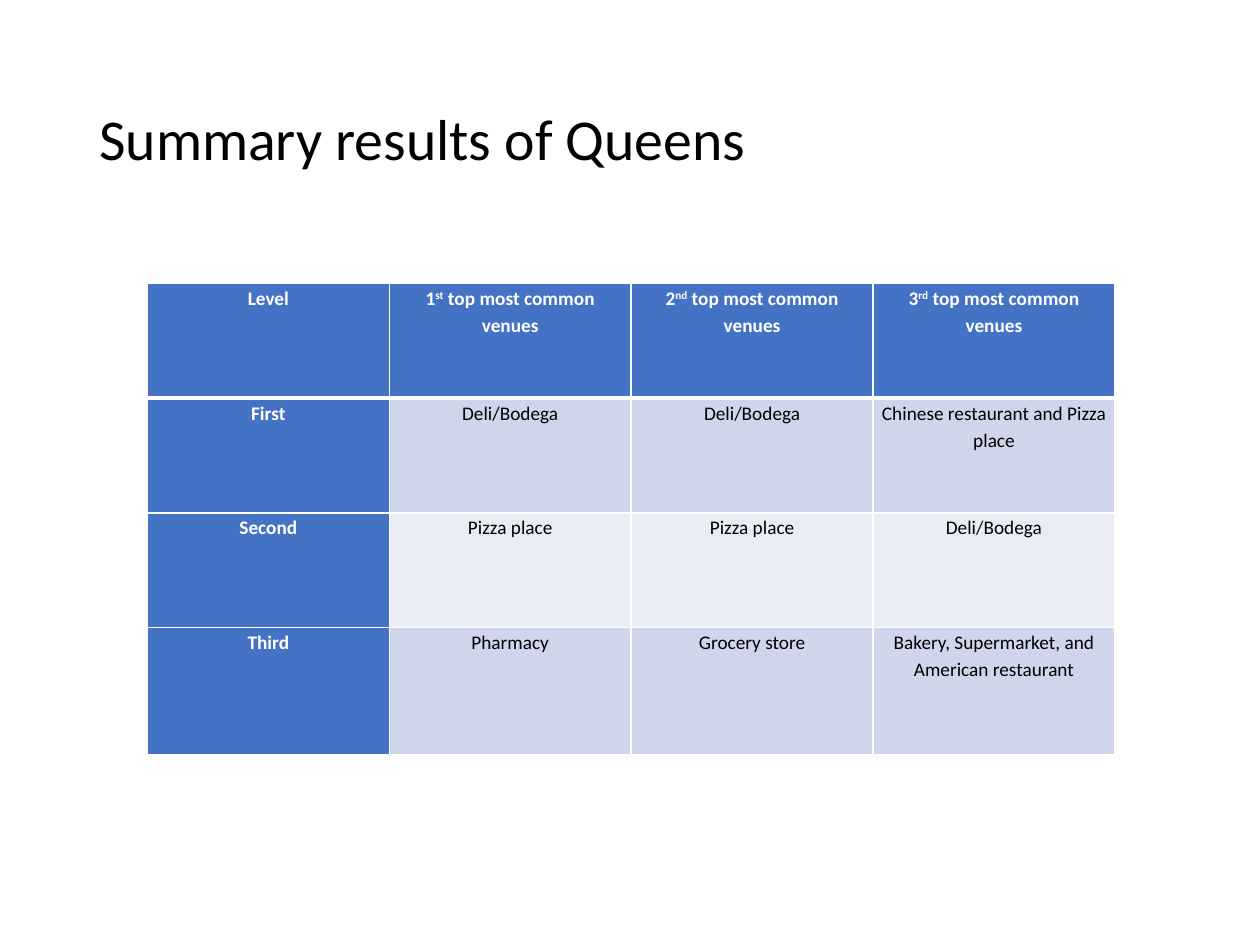
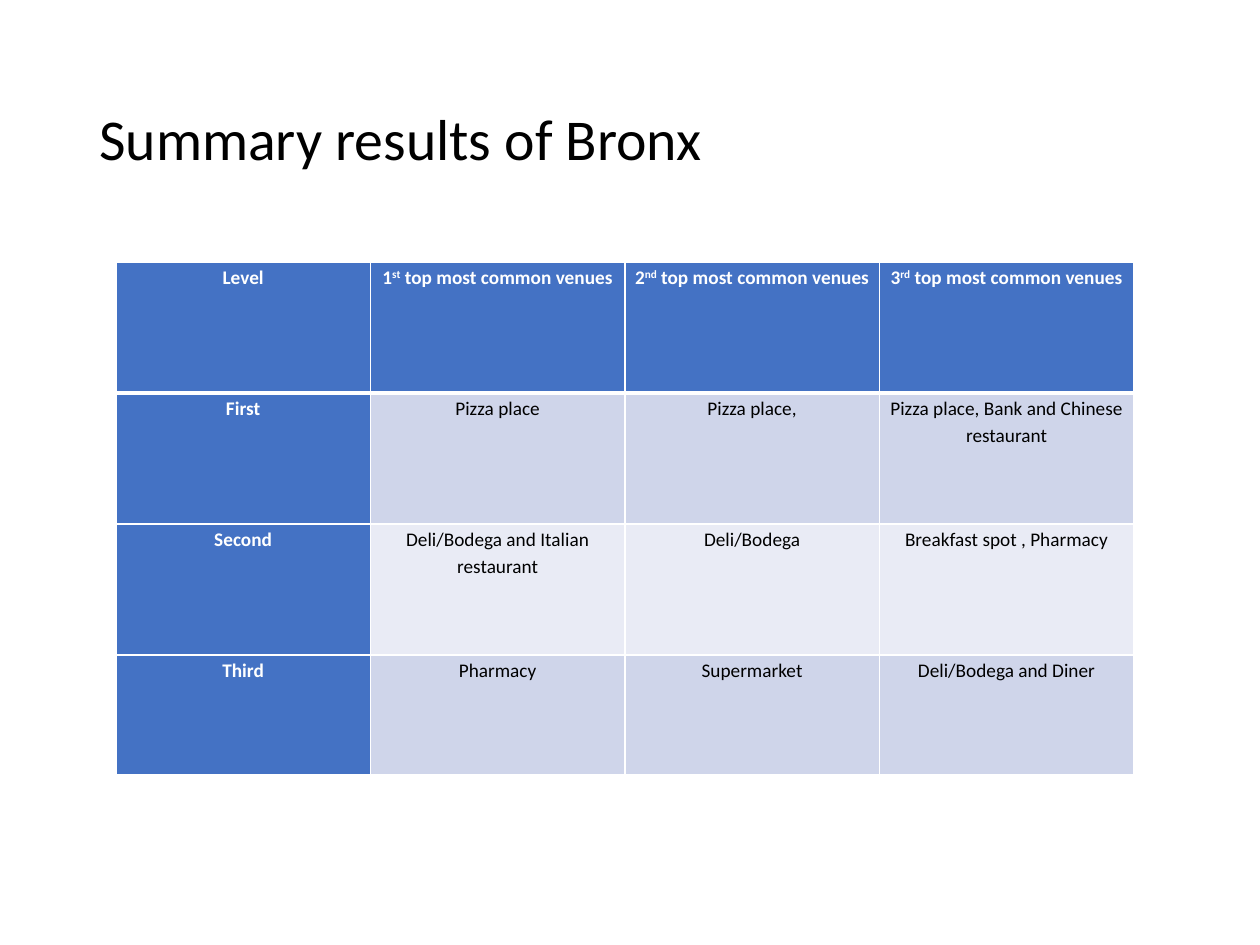
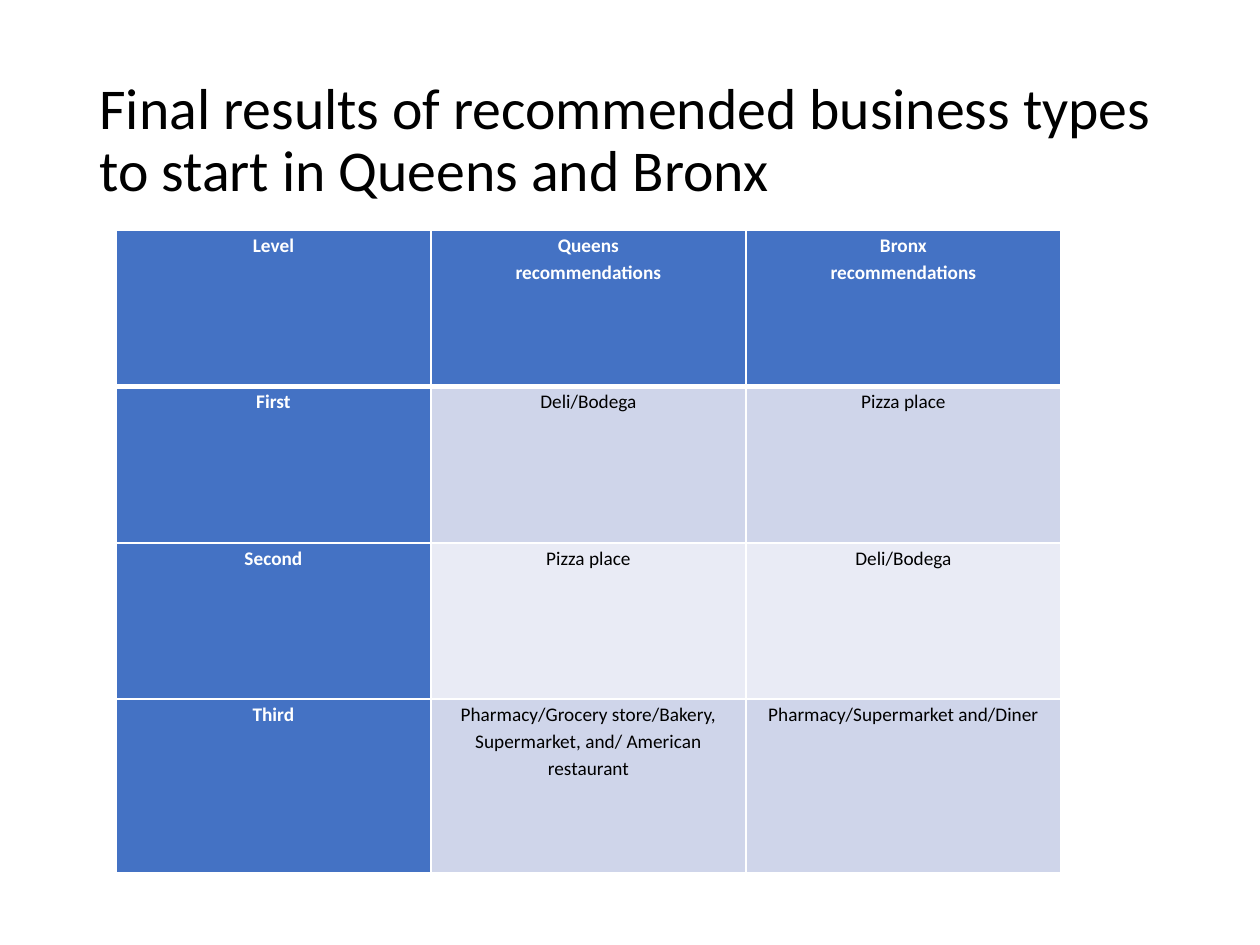
import pptx
import pptx.dml.color
import pptx.enum.text
import pptx.oxml
import pptx.oxml.ns
import pptx.util

Inches = pptx.util.Inches
Pt = pptx.util.Pt

FONT = "Calibri"
BLACK, WHITE = "000000", "FFFFFF"
ACCENT = "4472C4"
BANDS = ["CFD5EA", "E9EBF5"]
RANKED_HEADER = ["Level"] + [
    f"{number}^{suffix}^ top most common venues"
    for number, suffix in [(1, "st"), (2, "nd"), (3, "rd")]
]

SUMMARIES = [
    {
        "title": "Summary results of Queens",
        "left": 1.17, "top": 2.25, "column": 1.92, "row": 0.91, "last_row": 1.01,
        "levels": [
            RANKED_HEADER,
            ["First", "Deli/Bodega", "Deli/Bodega", "Chinese restaurant and Pizza place"],
            ["Second", "Pizza place", "Pizza place", "Deli/Bodega"],
            ["Third", "Pharmacy", "Grocery store",
             "Bakery, Supermarket, and American restaurant"],
        ],
    },
    {
        "title": "Summary results of Bronx",
        "left": 0.92, "top": 2.08, "column": 2.02, "row": 1.04, "last_row": 0.95,
        "levels": [
            RANKED_HEADER,
            ["First", "Pizza place", "Pizza place,", "Pizza place, Bank and Chinese restaurant"],
            ["Second", "Deli/Bodega and Italian restaurant", "Deli/Bodega",
             "Breakfast spot , Pharmacy"],
            ["Third", "Pharmacy", "Supermarket", "Deli/Bodega and Diner"],
        ],
    },
    {
        "title": "Final results of recommended business types to start in Queens and Bronx",
        "left": 0.92, "top": 1.83, "column": 2.5, "row": 1.24, "last_row": 1.38,
        "levels": [
            ["Level", "Queens\nrecommendations", "Bronx\nrecommendations"],
            ["First", "Deli/Bodega", "Pizza place"],
            ["Second", "Pizza place", "Deli/Bodega"],
            ["Third", "Pharmacy/Grocery store/Bakery, Supermarket, and/ American restaurant",
             "Pharmacy/Supermarket and/Diner"],
        ],
    },
]


def rgb(color):
    return pptx.dml.color.RGBColor.from_string(color)


def style(paragraph, size, color, spacing, bold=False):
    paragraph.line_spacing = spacing
    paragraph.font.name = FONT
    paragraph.font.size = Pt(size)
    paragraph.font.bold = bold
    paragraph.font.color.rgb = rgb(color)


def add_title(slide, title):
    frame = slide.shapes.add_textbox(
        Inches(0.69), Inches(0.4), Inches(8.62), Inches(1.45)).text_frame
    frame.word_wrap = True
    frame.vertical_anchor = pptx.enum.text.MSO_ANCHOR.MIDDLE
    frame.text = title
    style(frame.paragraphs[0], 33, BLACK, 0.9)


def add_borders(cell, widths):
    for side, width in widths.items():
        cell._tc.get_or_add_tcPr().append(pptx.oxml.parse_xml(
            f'<a:ln{side} {pptx.oxml.ns.nsdecls("a")} w="{Pt(width)}"><a:solidFill>'
            f'<a:srgbClr val="{WHITE}"/></a:solidFill></a:ln{side}>'))


def write_cell(cell, text, color, bold):
    cell.margin_left = cell.margin_right = Inches(0.07)
    cell.margin_top = cell.margin_bottom = 0
    frame = cell.text_frame
    for index, line in enumerate(text.split("\n")):
        paragraph = frame.add_paragraph() if index else frame.paragraphs[0]
        paragraph.alignment = pptx.enum.text.PP_ALIGN.CENTER
        style(paragraph, 11, color, 1.15, bold)
        for part, words in enumerate(line.split("^")):
            run = paragraph.add_run()
            run.text = words
            if part % 2:
                run._r.get_or_add_rPr().set("baseline", "30000")


def add_levels(slide, summary):
    levels = summary["levels"]
    heights = [summary["row"]] * (len(levels) - 1) + [summary["last_row"]]
    column_count = len(levels[0])
    table = slide.shapes.add_table(
        len(levels), column_count, Inches(summary["left"]), Inches(summary["top"]),
        Inches(summary["column"] * column_count), Inches(sum(heights))).table
    for column in table.columns:
        column.width = Inches(summary["column"])
    for r, level in enumerate(levels):
        table.rows[r].height = Inches(heights[r])
        for c, text in enumerate(level):
            cell = table.cell(r, c)
            heading = r == 0 or c == 0
            write_cell(cell, text, WHITE if heading else BLACK, heading)
            add_borders(cell, {"L": 1, "R": 1, "T": 3 if r == 1 else 1, "B": 3 if r == 0 else 1})
            cell.fill.solid()
            cell.fill.fore_color.rgb = rgb(ACCENT if heading else BANDS[(r - 1) % 2])


def main():
    deck = pptx.Presentation()
    deck.slide_width, deck.slide_height = Inches(10), Inches(7.5)
    for summary in SUMMARIES:
        slide = deck.slides.add_slide(deck.slide_layouts[6])
        add_title(slide, summary["title"])
        add_levels(slide, summary)
    deck.save("out.pptx")


if __name__ == "__main__":
    main()
